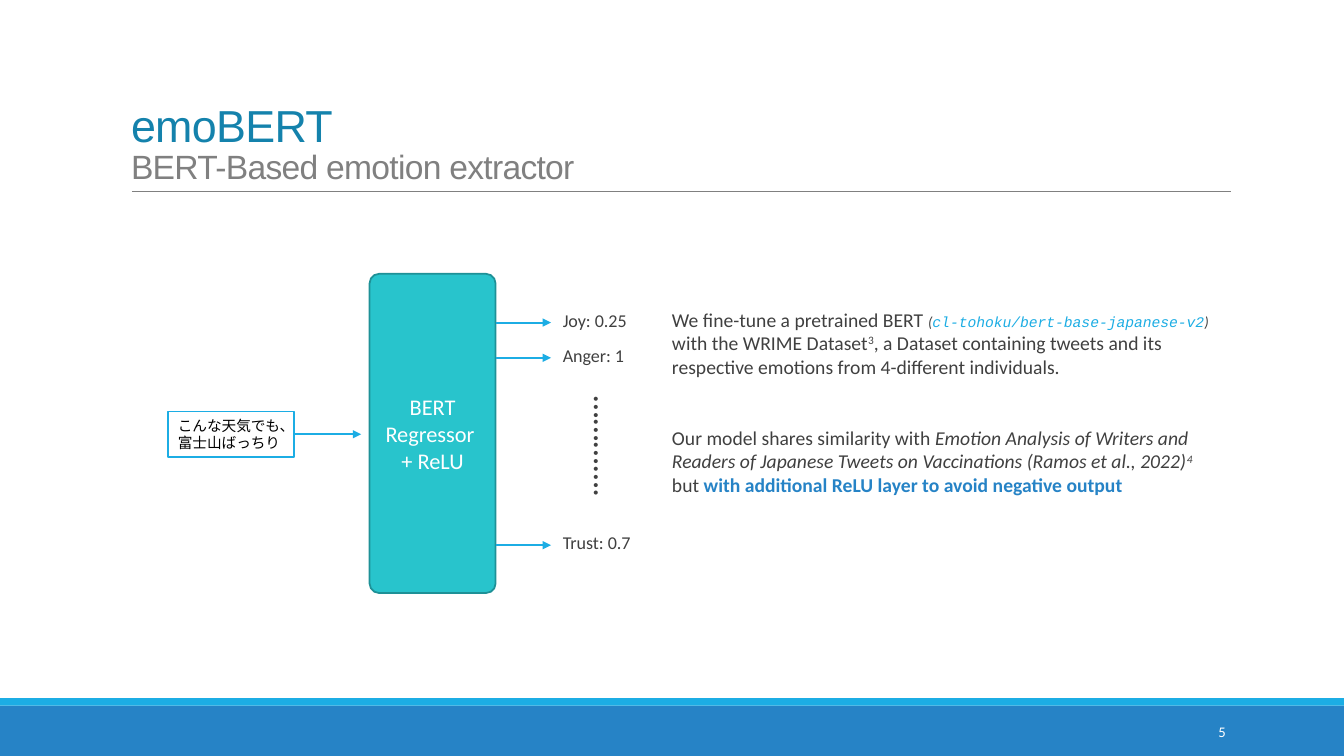
"""Build the emoBERT slide on a grid of 160 columns by 90 rows."""
from dataclasses import dataclass

from lxml import etree
from pptx import Presentation
from pptx import util as u
from pptx.dml.color import RGBColor
from pptx.enum import shapes, text
from pptx.oxml import ns

CELL = u.Inches(1) / 12


@dataclass(frozen=True)
class Theme:
    font: str = "Calibri"
    head_font: str = "Arial"
    code_font: str = "Courier New"
    white: str = "FFFFFF"
    black: str = "000000"
    ink: str = "404040"
    grey: str = "808080"
    title: str = "1482AC"
    accent: str = "1CADE4"
    band: str = "2683C6"
    block: str = "28C4CC"
    block_edge: str = "1E9197"
    title_size: float = 32
    subtitle_size: float = 24
    block_size: float = 16
    body_size: float = 14
    label_size: float = 12.9
    small_size: float = 10.5


T = Theme()


def g(cells):
    """Turn grid cells into a length."""
    return u.Emu(round(cells * CELL))


def box(*cells):
    """Turn left, top, width and height in cells into lengths."""
    return [g(c) for c in cells]


def style(r, size, color, font=T.font, italic=False, bold=False, base=0):
    """Format one run."""
    f = r.font
    f.size, f.name, f.italic, f.bold = u.Pt(size), font, italic, bold
    f.color.rgb = RGBColor.from_string(color)
    if base:
        r._r.get_or_add_rPr().set("baseline", str(base * 1000))


def fill_text(tf, lines, size, color, align=text.PP_ALIGN.LEFT, spacing=1.0, italic=False):
    """Write plain lines in one format."""
    tf.word_wrap = True
    tf.text = "\n".join(lines)
    for p in tf.paragraphs:
        p.alignment, p.line_spacing = align, spacing
        for r in p.runs:
            style(r, size, color, italic=italic)


def add_box(s, kind, place, fill, line=None):
    """Add a filled shape with an optional outline."""
    sp = s.shapes.add_shape(kind, *box(*place))
    sp.shadow.inherit = False
    sp.fill.solid()
    sp.fill.fore_color.rgb = RGBColor.from_string(fill)
    if line:
        sp.line.color.rgb = RGBColor.from_string(line)
        sp.line.width = u.Pt(1.25)
    else:
        sp.line.fill.background()
    return sp


def add_line(s, x1, x2, y, color, width, arrow=False):
    """Add a horizontal line, with an arrowhead at its end if wanted."""
    ln = s.shapes.add_connector(shapes.MSO_CONNECTOR.STRAIGHT, g(x1), g(y), g(x2), g(y))
    ln.line.color.rgb = RGBColor.from_string(color)
    ln.line.width = u.Pt(width)
    if arrow:
        etree.SubElement(ln.line._get_or_add_ln(), ns.qn("a:tailEnd"), type="triangle")
    etree.SubElement(ln._element.spPr, ns.qn("a:effectLst"))
    return ln


def add_label(s, place, label, size, color, margin=0, **fmt):
    """Add a text box."""
    sp = s.shapes.add_textbox(*box(*place))
    tf = sp.text_frame
    tf.margin_left = tf.margin_right = u.Inches(margin)
    fill_text(tf, [label], size, color, **fmt)
    return sp


def place_holder(sp, place, anchor):
    """Move a placeholder and return its text frame."""
    sp.left, sp.top, sp.width, sp.height = box(*place)
    tf = sp.text_frame
    tf.word_wrap, tf.auto_size, tf.vertical_anchor = True, text.MSO_AUTO_SIZE.NONE, anchor
    return tf


def set_title(s):
    """Write the title and subtitle above their rule."""
    tf = place_holder(s.shapes.title, (14.4, 3.7, 132, 19.1), text.MSO_ANCHOR.BOTTOM)
    tf.text = "emoBERT\nBERT-Based emotion extractor"
    looks = ((T.title_size, T.title), (T.subtitle_size, T.grey))
    for p, (size, color) in zip(tf.paragraphs, looks):
        p.alignment, p.line_spacing = text.PP_ALIGN.LEFT, 0.85
        p.space_before = u.Pt(0)
        style(p.runs[0], size, color, T.head_font)
        p.runs[0]._r.get_or_add_rPr().set("spc", "-50")
    add_line(s, 15.7, 146.5, 22.8, T.grey, 0.5)


def set_body(s, paragraphs):
    """Write the explanation as paragraphs of formatted runs."""
    tf = place_holder(s.placeholders[1], (80, 27.5, 66.4, 49.6), text.MSO_ANCHOR.TOP)
    tf.margin_left, tf.margin_right, tf.margin_top = 0, u.Inches(0.12), u.Inches(0.76)
    for i, runs in enumerate(paragraphs):
        p = tf.add_paragraph() if i else tf.paragraphs[0]
        p.line_spacing, p.space_before = 1.0, u.Pt(34 if i else 0)
        pPr = p._p.get_or_add_pPr()
        pPr.set("marL", "0")
        pPr.set("indent", "0")
        etree.SubElement(pPr, ns.qn("a:buNone"))
        for words, fmt in runs:
            r = p.add_run()
            r.text = words
            style(r, **{"size": T.body_size, "color": T.ink, **fmt})


def draw_model(s):
    """Draw the input, the regressor and its emotion outputs."""
    block = add_box(s, shapes.MSO_SHAPE.ROUNDED_RECTANGLE, (44, 32.6, 15, 38), T.block, T.block_edge)
    block.adjustments[0] = 0.075
    block.text_frame.vertical_anchor = text.MSO_ANCHOR.MIDDLE
    fill_text(block.text_frame, ["BERT Regressor ", "+ ReLU"], T.block_size, T.white,
              text.PP_ALIGN.CENTER)
    tweet = add_box(s, shapes.MSO_SHAPE.RECTANGLE, (20, 49, 15, 5.4), T.white, T.accent)
    tweet.text_frame.vertical_anchor = text.MSO_ANCHOR.TOP
    fill_text(tweet.text_frame, ["こんな天気でも、富士山ばっちり"], T.small_size, T.black)
    add_line(s, 35, 43, 51.7, T.accent, 1.5, True).begin_connect(tweet, 3)
    for label, y in (("Joy: 0.25", 38.4), ("Anger: 1", 42.6), ("Trust: 0.7", 64.9)):
        add_line(s, 59, 65.6, y, T.accent, 1.5, True)
        add_label(s, (67, y - 1.7, 9.8, 3.4), label, T.label_size, T.ink, spacing=0.8)
    dots = add_label(s, (67.4, 51.7, 12.4, 3.4), "………….", T.subtitle_size, T.ink, italic=True)
    dots.rotation = 90


def draw_footer(s):
    """Draw the footer bands and the slide number."""
    add_box(s, shapes.MSO_SHAPE.RECTANGLE, (0, 84, 160, 6), T.band)
    add_box(s, shapes.MSO_SHAPE.RECTANGLE, (0, 83.1, 160, 0.9), T.accent)
    number = add_label(s, (130, 84.7, 17.1, 4.8), "5", T.small_size, T.white, margin=0.1,
                       align=text.PP_ALIGN.RIGHT)
    number.text_frame.vertical_anchor = text.MSO_ANCHOR.MIDDLE


def main():
    """Build and save the slide."""
    prs = Presentation()
    prs.slide_width, prs.slide_height = g(160), g(90)
    s = prs.slides.add_slide(prs.slide_layouts[1])
    aside = {"size": T.small_size, "italic": True}
    set_title(s)
    set_body(s, [
        [("We fine-tune a pretrained BERT ", {}),
         ("(", aside),
         ("cl-tohoku/bert-base-japanese-v2", {**aside, "font": T.code_font, "color": T.accent}),
         (") ", aside),
         ("with the WRIME Dataset", {}),
         ("3", {"base": 30}),
         (", a Dataset containing tweets and its respective emotions"
          " from 4-different individuals.", {})],
        [("Our model shares similarity with ", {}),
         ("Emotion Analysis of Writers and Readers of Japanese Tweets on Vaccinations"
          " (Ramos et al., 2022)", {"italic": True}),
         ("4", {"italic": True, "base": 30}),
         (" but ", {}),
         ("with additional ReLU layer to avoid negative output", {"color": T.band, "bold": True})],
    ])
    draw_model(s)
    draw_footer(s)
    prs.save("out.pptx")


if __name__ == "__main__":
    main()
